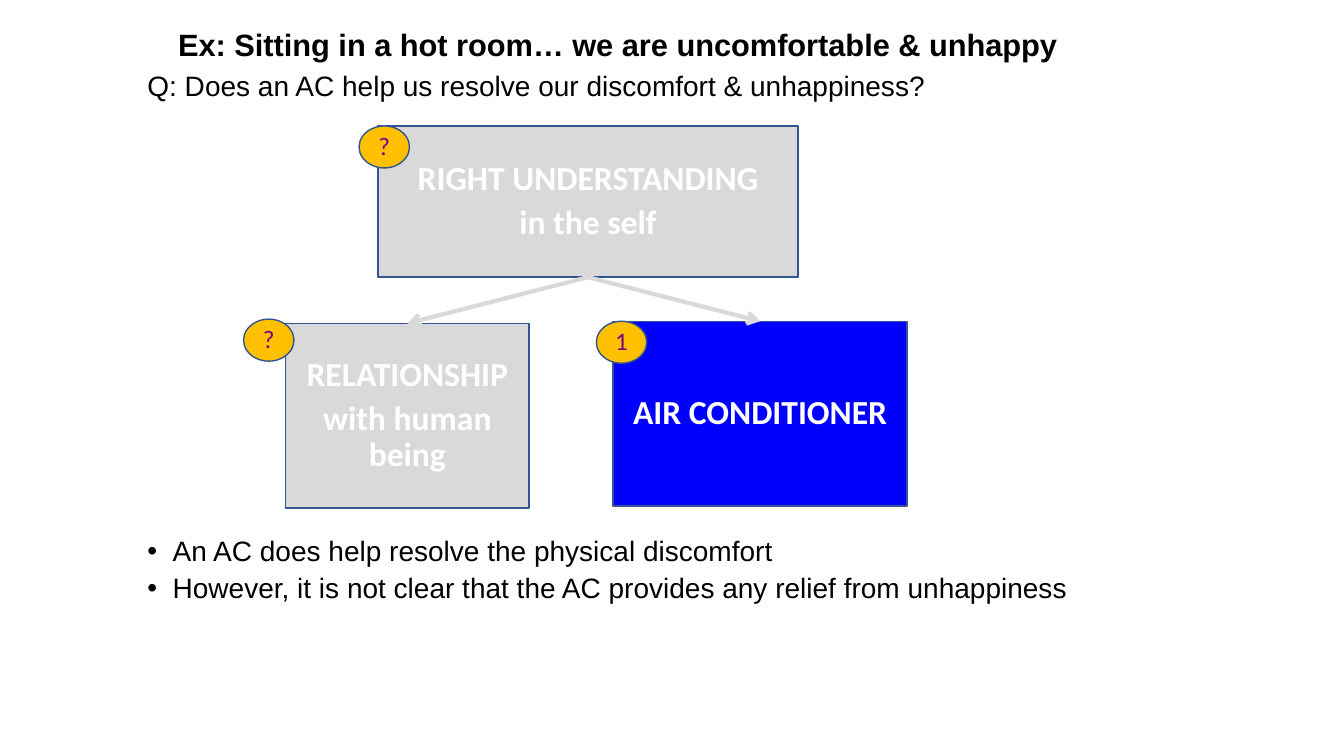
from dataclasses import dataclass

from lxml import etree
from pptx import Presentation
from pptx.dml.color import RGBColor
from pptx.enum.shapes import MSO_CONNECTOR, MSO_SHAPE
from pptx.enum.text import MSO_ANCHOR, MSO_AUTO_SIZE, PP_ALIGN
from pptx.oxml.ns import qn
from pptx.util import Pt

RECT, OVAL = MSO_SHAPE.RECTANGLE, MSO_SHAPE.OVAL
STRAIGHT = MSO_CONNECTOR.STRAIGHT
LEFT, CENTER = PP_ALIGN.LEFT, PP_ALIGN.CENTER
TOP, MIDDLE = MSO_ANCHOR.TOP, MSO_ANCHOR.MIDDLE
NO_FIT = MSO_AUTO_SIZE.NONE
BOTTOM_SITE, TOP_SITE = 2, 0

COLORS = {
    "black": "000000", "white": "FFFFFF", "gray": "D9D9D9", "blue": "0000FF",
    "edge": "325491", "gold": "FFC000", "purple": "800080",
}
FONTS = {
    "title": ({"name": "Arial", "size": Pt(22), "bold": True}, "black"),
    "body": ({"name": "Arial", "size": Pt(20), "bold": False}, "black"),
    "box": ({"name": "Calibri", "size": Pt(24), "bold": True}, "white"),
    "badge": ({"name": "Calibri", "size": Pt(18), "bold": False}, "purple"),
}
GAP = Pt(5)


def px(n: int) -> int:
    """Turn px (96 to the inch) into EMU."""
    return n * 9525


def rgb(name: str) -> RGBColor:
    return RGBColor.from_string(COLORS[name])


@dataclass
class Node:
    x: int
    y: int
    w: int
    h: int
    lines: list[str]
    fill: str = "gray"
    form: int = RECT
    style: str = "box"


def badge(x: int, y: int, mark: str) -> Node:
    return Node(x, y, 48, 40, [mark], "gold", OVAL, "badge")


ROOT = Node(360, 120, 400, 144, ["RIGHT UNDERSTANDING", "in the self"])
LEAVES = [
    Node(272, 308, 232, 176, ["RELATIONSHIP", "with human being"]),
    Node(584, 306, 280, 176, ["AIR CONDITIONER"], "blue"),
]
BADGES = [badge(568, 306, "1"), badge(232, 304, "?"), badge(342, 120, "?")]


def bullet(para) -> None:
    props = para._p.get_or_add_pPr()
    props.set("marL", str(px(24)))
    props.set("indent", str(px(-24)))
    etree.SubElement(props, qn("a:buFont")).set("typeface", "Arial")
    etree.SubElement(props, qn("a:buChar")).set("char", "•")


def write(shape, lines: list[str], style: str, align=LEFT, anchor=MIDDLE,
          dots: bool = False) -> None:
    frame = shape.text_frame
    frame.word_wrap = True
    frame.auto_size = NO_FIT
    frame.vertical_anchor = anchor
    values, color = FONTS[style]
    for i, line in enumerate(lines):
        para = frame.add_paragraph() if i else frame.paragraphs[0]
        para.alignment = align
        para.line_spacing = 0.9
        para.space_before = GAP if i else Pt(0)
        if dots:
            bullet(para)
        run = para.add_run()
        run.text = line
        for key, value in values.items():
            setattr(run.font, key, value)
        run.font.color.rgb = rgb(color)


def draw(slide, node: Node):
    shape = slide.shapes.add_shape(
        node.form, px(node.x), px(node.y), px(node.w), px(node.h))
    shape.shadow.inherit = False
    shape.fill.solid()
    shape.fill.fore_color.rgb = rgb(node.fill)
    shape.line.color.rgb = rgb("edge")
    shape.line.width = Pt(1)
    write(shape, node.lines, node.style, CENTER)
    return shape


def link(slide, start, end) -> None:
    line = slide.shapes.add_connector(STRAIGHT, 0, 0, 0, 0)
    line.begin_connect(start, BOTTOM_SITE)
    line.end_connect(end, TOP_SITE)
    line.line.color.rgb = rgb("gray")
    line.line.width = Pt(3)
    etree.SubElement(line.line._get_or_add_ln(), qn("a:tailEnd")).set("type", "arrow")
    etree.SubElement(line._element.spPr, qn("a:effectLst"))


def note(slide, y: int, h: int, lines: list[str], dots: bool = False) -> None:
    box = slide.shapes.add_textbox(px(131), px(y), px(990), px(h))
    write(box, lines, "body", LEFT, TOP, dots)


def main() -> None:
    deck = Presentation()
    deck.slide_width, deck.slide_height = px(1280), px(720)
    slide = deck.slides.add_slide(deck.slide_layouts[5])

    # Title and question
    title = slide.shapes.title
    title.left, title.top, title.width, title.height = map(px, (160, 24, 960, 40))
    write(title, ["Ex: Sitting in a hot room… we are uncomfortable & unhappy"], "title")
    note(slide, 64, 40, ["Q: Does an AC help us resolve our discomfort & unhappiness?"])

    # Tree of boxes
    leaves = [draw(slide, leaf) for leaf in LEAVES]
    root = draw(slide, ROOT)
    for leaf in leaves:
        link(slide, root, leaf)
    for mark in BADGES:
        draw(slide, mark)

    # Conclusions
    note(slide, 507, 80, [
        "An AC does help resolve the physical discomfort",
        "However, it is not clear that the AC provides any relief from unhappiness",
    ], dots=True)

    deck.save("out.pptx")


if __name__ == "__main__":
    main()
